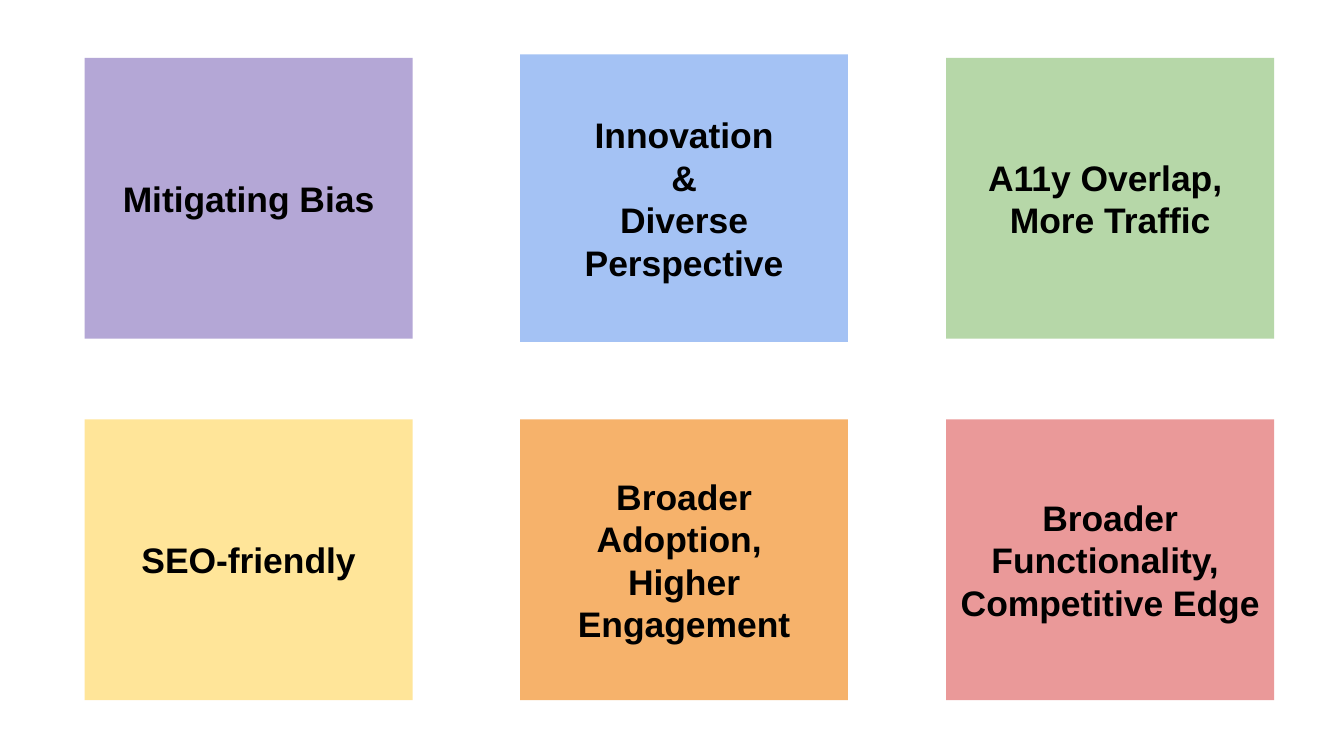
import dataclasses

import pptx
import pptx.dml.color
import pptx.enum.shapes
import pptx.enum.text
import pptx.util


@dataclasses.dataclass(frozen=True)
class Theme:
    font: str = "Arial"
    size: int = 19
    text: str = "000000"
    purple: str = "B4A7D6"
    blue: str = "A4C2F4"
    green: str = "B6D7A8"
    yellow: str = "FFE599"
    orange: str = "F6B26B"
    red: str = "EA9999"


theme = Theme()
SLIDE_WIDTH = 10
SLIDE_HEIGHT = SLIDE_WIDTH * 9 / 16
COLUMN_LEFTS = (0.63, 3.87, 7.04)
ROW_TOPS = (0.43, 3.12)
CARD_WIDTH, CARD_HEIGHT, TALL_HEIGHT = 2.44, 2.09, 2.14
INSET = 0.1

CARD_ROWS = [
    [
        (["Mitigating Bias"], theme.purple, CARD_HEIGHT),
        (["Innovation", "&", "Diverse Perspective"], theme.blue, TALL_HEIGHT),
        (["A11y Overlap, ", "More Traffic"], theme.green, CARD_HEIGHT),
    ],
    [
        (["SEO-friendly"], theme.yellow, CARD_HEIGHT),
        (["Broader Adoption, ", "Higher Engagement"], theme.orange, CARD_HEIGHT),
        (["Broader Functionality, ", "Competitive Edge"], theme.red, CARD_HEIGHT),
    ],
]


def color(value):
    return pptx.dml.color.RGBColor.from_string(value)


def add_card(page, left, row_top, lines, fill, height):
    inches = pptx.util.Inches
    card = page.shapes.add_shape(
        pptx.enum.shapes.MSO_SHAPE.RECTANGLE,
        inches(left),
        inches(row_top - (height - CARD_HEIGHT) / 2),
        inches(CARD_WIDTH),
        inches(height),
    )
    card.shadow.inherit = False
    card.fill.solid()
    card.fill.fore_color.rgb = color(fill)
    card.line.fill.background()

    frame = card.text_frame
    frame.word_wrap = True
    frame.vertical_anchor = pptx.enum.text.MSO_ANCHOR.MIDDLE
    frame.margin_left = frame.margin_right = inches(INSET)
    frame.margin_top = frame.margin_bottom = inches(INSET)
    frame.text = "\n".join(lines)
    for para in frame.paragraphs:
        para.alignment = pptx.enum.text.PP_ALIGN.CENTER
        para.font.name = theme.font
        para.font.size = pptx.util.Pt(theme.size)
        para.font.bold = True
        para.font.color.rgb = color(theme.text)


def main():
    deck = pptx.Presentation()
    deck.slide_width = pptx.util.Inches(SLIDE_WIDTH)
    deck.slide_height = pptx.util.Inches(SLIDE_HEIGHT)
    page = deck.slides.add_slide(deck.slide_layouts[6])
    for row_top, cards in zip(ROW_TOPS, CARD_ROWS):
        for left, card in zip(COLUMN_LEFTS, cards):
            add_card(page, left, row_top, *card)
    deck.save("out.pptx")


if __name__ == "__main__":
    main()
